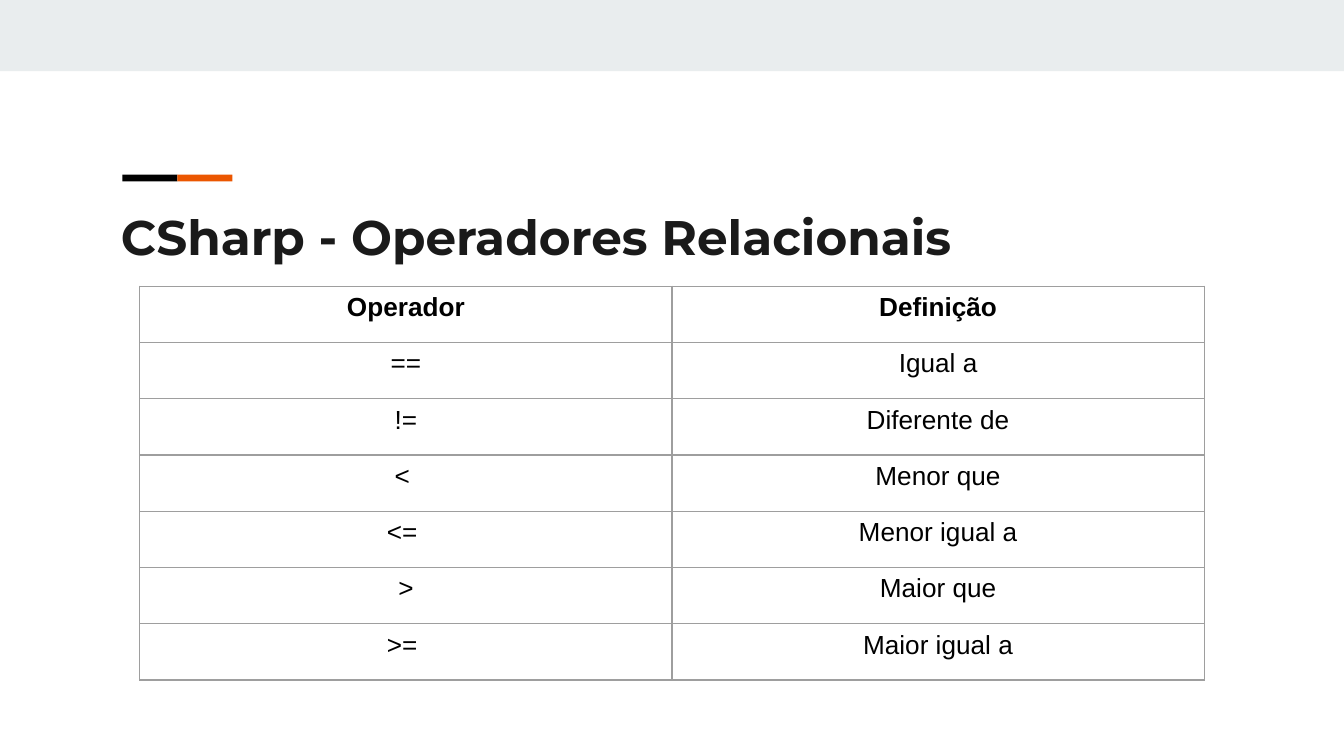
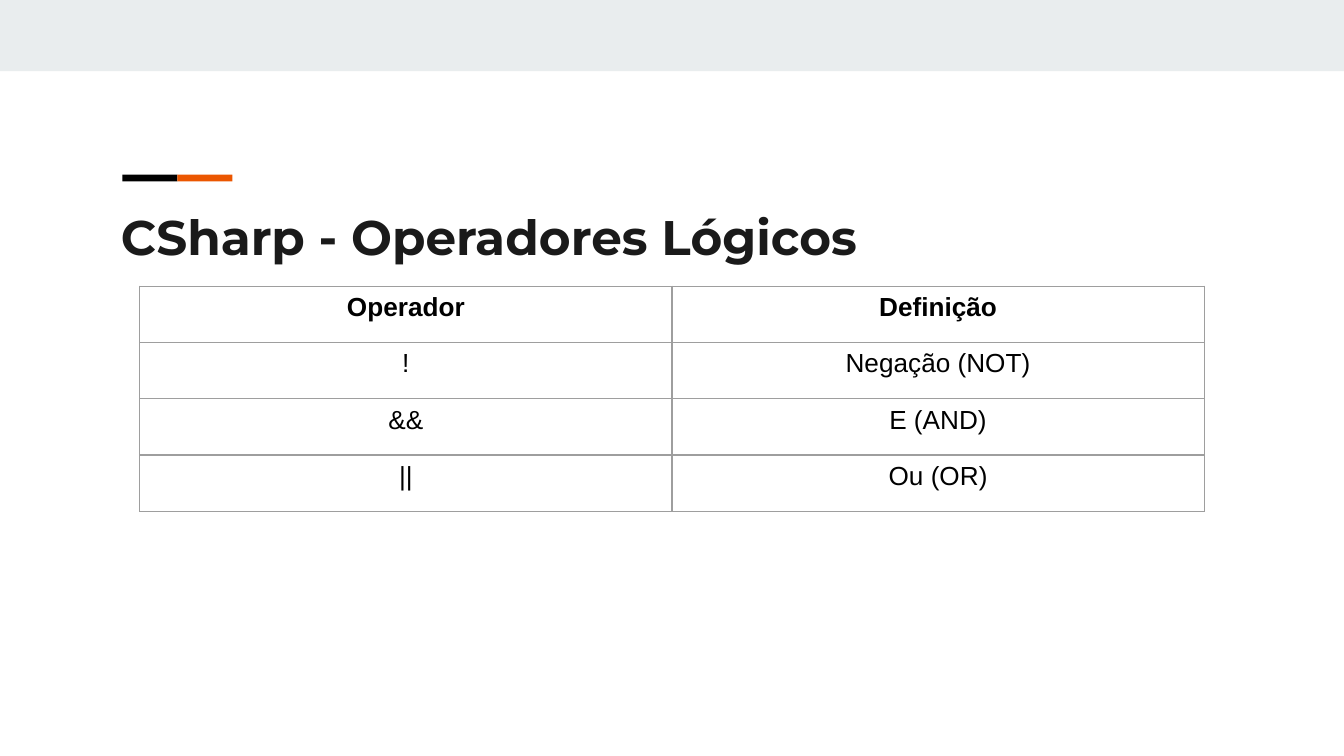
from pptx import Presentation
from pptx.dml.color import RGBColor
from pptx.enum.shapes import MSO_SHAPE
from pptx.enum.text import MSO_ANCHOR, MSO_AUTO_SIZE, PP_ALIGN
from pptx.oxml import parse_xml
from pptx.oxml.ns import nsdecls
from pptx.util import Inches, Pt

WIDE = 10
HIGH = WIDE * 9 / 16
COLORS = {"band": "E9EDEE", "dark": "000000", "accent": "EB5600",
          "title": "1A1A1A", "text": "000000", "border": "9E9E9E"}
HEAD = ("Operador", "Definição")
ROW = 2.93 / 7
TITLE = {"name": "Montserrat", "size": Pt(26), "bold": True}
BODY = {"name": "Arial", "size": Pt(14)}

SLIDES = [
    ("CSharp - Operadores Relacionais",
     [("==", "Igual a"), ("!=", "Diferente de"), ("< ", "Menor que"),
      ("<= ", "Menor igual a"), (">", "Maior que"),
      (">= ", "Maior igual a")]),
    ("CSharp - Operadores Lógicos",
     [("!", "Negação (NOT)"), ("&&", "E (AND)"), ("||", "Ou (OR)")]),
]


def apply(obj, values):
    for key, value in values.items():
        setattr(obj, key, value)


def place(*box):
    return [Inches(side) for side in box]


def write(frame, text, align, color, font):
    par = frame.paragraphs[0]
    par.alignment = align
    run = par.add_run()
    run.text = text
    apply(run.font, font)
    run.font.color.rgb = RGBColor.from_string(COLORS[color])


def add_bar(slide, color, *box):
    bar = slide.shapes.add_shape(MSO_SHAPE.RECTANGLE, *place(*box))
    bar.shadow.inherit = False
    bar.fill.solid()
    bar.fill.fore_color.rgb = RGBColor.from_string(COLORS[color])
    bar.line.fill.background()


def add_frame(slide):
    # Top band and the two-colour mark above the title
    add_bar(slide, "band", 0, 0, WIDE, 0.53)
    for col, color in enumerate(("dark", "accent")):
        add_bar(slide, color, 0.91 + col * 0.41, 1.3, 0.41, 0.05)


def set_title(slide, text):
    title = slide.shapes.title
    left, top, width, height = place(0.8, 1.44, 8.41, 0.58)
    apply(title, {"left": left, "top": top,
                  "width": width, "height": height})
    frame = title.text_frame
    sides = ("left", "top", "right", "bottom")
    apply(frame, {f"margin_{side}": Inches(0.1) for side in sides})
    apply(frame, {"word_wrap": True, "auto_size": MSO_AUTO_SIZE.NONE,
                  "vertical_anchor": MSO_ANCHOR.TOP})
    write(frame, text, PP_ALIGN.LEFT, "title", TITLE)


def add_border(cell):
    props = cell._tc.get_or_add_tcPr()
    for side in "LRTB":
        props.append(parse_xml(
            f'<a:ln{side} {nsdecls("a")} w="{Pt(0.74)}"><a:solidFill>'
            f'<a:srgbClr val="{COLORS["border"]}"/>'
            f'</a:solidFill></a:ln{side}>'))


def add_grid(slide, rows):
    width = 7.92
    box = place((WIDE - width) / 2, 2.13, width, ROW * len(rows))
    table = slide.shapes.add_table(len(rows), len(HEAD), *box).table
    apply(table, {"first_row": False, "horz_banding": False})
    for row, texts in enumerate(rows):
        table.rows[row].height = Inches(ROW)
        for col, text in enumerate(texts):
            cell = table.cell(row, col)
            add_border(cell)
            cell.fill.background()
            write(cell.text_frame, text, PP_ALIGN.CENTER, "text",
                  {**BODY, "bold": row == 0})


def main():
    deck = Presentation()
    apply(deck, {"slide_width": Inches(WIDE), "slide_height": Inches(HIGH)})
    for title, rows in SLIDES:
        slide = deck.slides.add_slide(deck.slide_layouts[5])
        add_frame(slide)
        set_title(slide, title)
        add_grid(slide, [HEAD, *rows])
    deck.save("out.pptx")


main()
